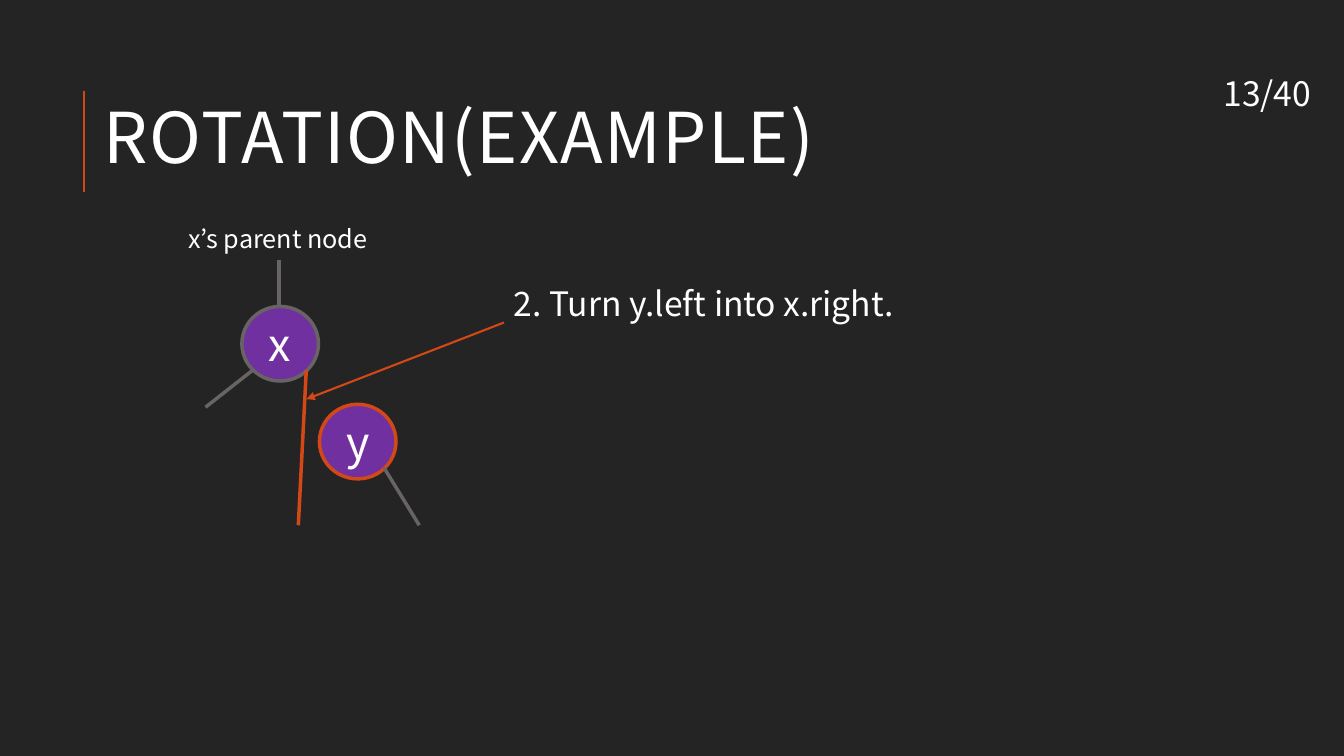
from pptx import Presentation
from pptx import util as u
from pptx.dml.color import RGBColor
from pptx.enum import shapes, text
from pptx.oxml.ns import qn
from lxml import etree

Pt = u.Pt
FONT = "Noto Sans CJK JP"
BACKGROUND = RGBColor(0x24, 0x24, 0x24)
WHITE = RGBColor(0xFF, 0xFF, 0xFF)
ORANGE = RGBColor(0xD3, 0x48, 0x17)
GRAY = RGBColor(0x69, 0x64, 0x64)
PURPLE = RGBColor(0x70, 0x30, 0xA0)
NODE_W, NODE_H = 54.72, 53.28


def write(tf, words, size, align=text.PP_ALIGN.LEFT, anchor=text.MSO_ANCHOR.TOP):
    tf.word_wrap = True
    tf.auto_size = text.MSO_AUTO_SIZE.NONE
    tf.vertical_anchor = anchor
    p = tf.paragraphs[0]
    p.alignment = align
    r = p.add_run()
    r.text = words
    r.font.name = FONT
    r.font.size = Pt(size)
    r.font.color.rgb = WHITE
    return p


def add_label(s, box, words, size, anchor=text.MSO_ANCHOR.TOP):
    sp = s.shapes.add_textbox(*map(Pt, box))
    write(sp.text_frame, words, size, anchor=anchor)


def add_line(s, start, end, color, width=2.5, arrow=False):
    sp = s.shapes.add_connector(
        shapes.MSO_CONNECTOR.STRAIGHT, *map(Pt, (*start, *end)))
    sp.line.color.rgb = color
    sp.line.width = Pt(width)
    if arrow:
        etree.SubElement(sp.line._get_or_add_ln(), qn("a:tailEnd"), type="triangle")
    etree.SubElement(sp._element.spPr, qn("a:effectLst"))


def add_node(s, left, top, name, outline):
    sp = s.shapes.add_shape(
        shapes.MSO_SHAPE.OVAL, *map(Pt, (left, top, NODE_W, NODE_H)))
    sp.shadow.inherit = False
    sp.fill.solid()
    sp.fill.fore_color.rgb = PURPLE
    sp.line.color.rgb = outline
    sp.line.width = Pt(2.5)
    write(sp.text_frame, name, 32, text.PP_ALIGN.CENTER, text.MSO_ANCHOR.MIDDLE)


def build_title(s, left, top, width, height):
    add_line(s, (left - 7.2, top + 70.5), (left - 7.2, top - 1.5), ORANGE, 1.5)
    sp = s.shapes.title
    sp.left, sp.top, sp.width, sp.height = map(Pt, (left, top, width, height))
    p = write(sp.text_frame, "ROTATION(EXAMPLE)", 50, anchor=text.MSO_ANCHOR.MIDDLE)
    p.line_spacing = 0.8
    p.runs[0].font._element.set("spc", "100")


def build_tree(s, left, top):
    add_node(s, left + 45.4, top + 62.6, "x", GRAY)
    add_node(s, left + 100.8, top + 132.5, "y", ORANGE)
    branches = [
        ((53.3, 108), (19.4, 134.6), GRAY),
        ((91.4, 108), (85.7, 218.9), ORANGE),
        ((146.9, 177.8), (172.1, 218.9), GRAY),
        ((72, 62.6), (72, 29.5), GRAY),
    ]
    for (x1, y1), (x2, y2), color in branches:
        add_line(s, (left + x1, top + y1), (left + x2, top + y2), color)
    add_label(s, (left, top, 144.7, 28.8), "x’s parent node", 18)


def build_step(s, left, top, width, height):
    add_line(s, (left, top + 31.7), (left - 141.1, top + 86.4), ORANGE, 1.5, True)
    add_label(s, (left, top, width, height), "2. Turn y.left into x.right.", 24)


def main():
    prs = Presentation()
    prs.slide_width, prs.slide_height = Pt(960), Pt(540)
    s = prs.slides.add_slide(prs.slide_layouts[5])
    s.background.fill.solid()
    s.background.fill.fore_color.rgb = BACKGROUND
    build_title(s, 67, 66.3, 782.6, 72)
    build_tree(s, 127.4, 156.3)
    build_step(s, 360, 198.7, 306, 36)
    add_label(s, (866.9, 46.1, 86.4, 40.3), "13/40", 24, text.MSO_ANCHOR.MIDDLE)
    prs.save("out.pptx")


if __name__ == "__main__":
    main()
